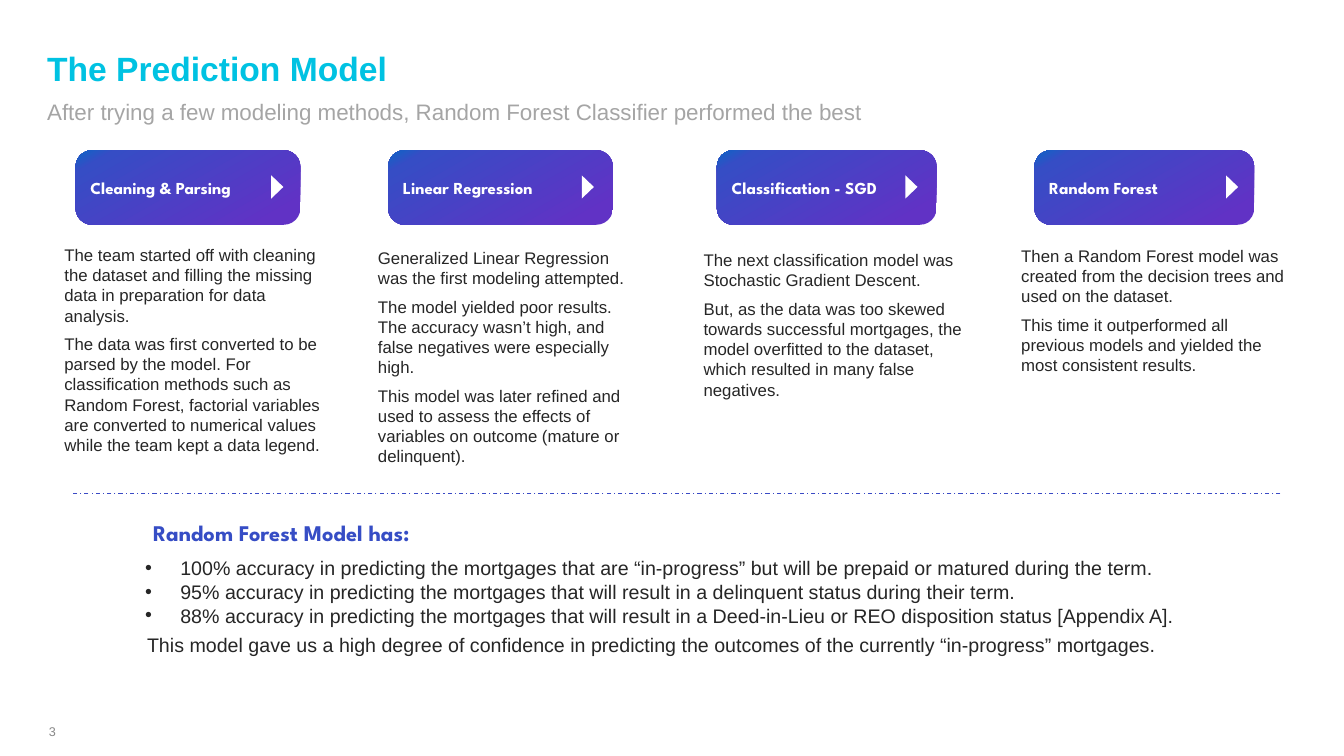
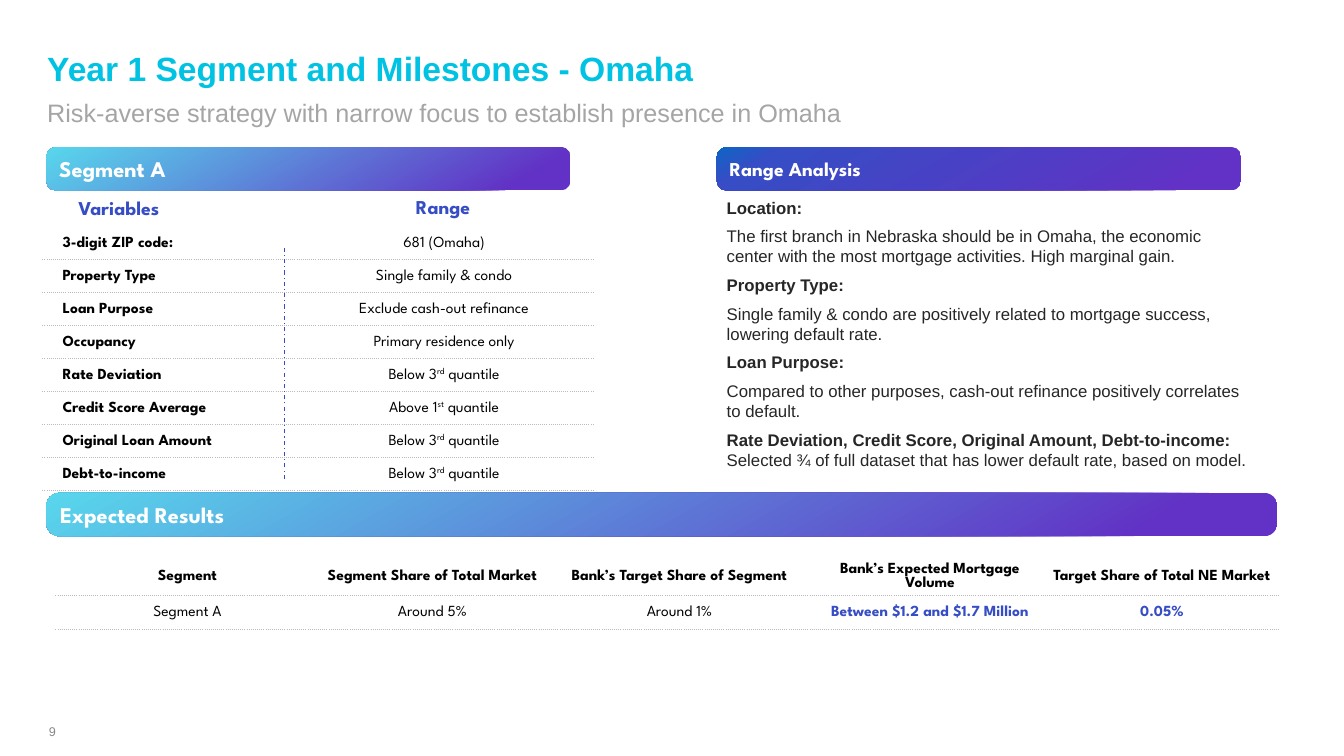
from pptx import Presentation
from pptx.dml.color import RGBColor
from pptx.enum.dml import MSO_LINE
from pptx.enum.shapes import MSO_CONNECTOR, MSO_SHAPE
from pptx.enum.text import MSO_ANCHOR as ANCHOR, PP_ALIGN as ALIGN
from pptx.oxml import parse_xml
from pptx.oxml.ns import qn
from pptx.util import Inches, Pt
from lxml.etree import SubElement

# Shared style
NS = 'xmlns:a="http://schemas.openxmlformats.org/drawingml/2006/main"'
BODY, HEAD = "Arial", "League Spartan"
CYAN, GREY, PALE, INK = "00C2E2", "A5A5A5", "888888", "262626"
BLUE, RULE, DOTS, WHITE, BLACK = "364DC5", "3A4AC5", "BCBBC1", "FFFFFF", "000000"
DEEP = [(0, "6132C5"), (11, "6132C5"), (89, BLUE), (100, "0D66C5")]
SKY = [(0, "6132C5"), (11, "6132C5"), (100, "58D7EC")]

# Slide 1 content: pill left, pill width, arrow left, text left, text top
STEPS = [
    ("Cleaning & Parsing", 0.75, 2.23, 2.69, 0.37, 2.38, [
        "The team started off with cleaning the dataset and filling the missing data in preparation for data analysis.",
        "The data was first converted to be parsed by the model. For classification methods such as Random Forest, factorial variables are converted to numerical values while the team kept a data legend."]),
    ("Linear Regression", 3.85, 2.23, 5.77, 3.48, 2.41, [
        "Generalized Linear Regression was the first modeling attempted.",
        "The model yielded poor results. The accuracy wasn’t high, and false negatives were especially high.",
        "This model was later refined and used to assess the effects of variables on outcome (mature or delinquent)."]),
    ("Classification - SGD", 7.11, 2.18, 8.98, 6.71, 2.43, [
        "The next classification model was Stochastic Gradient Descent.",
        "But, as the data was too skewed towards successful mortgages, the model overfitted to the dataset, which resulted in many false negatives."]),
    ("Random Forest", 10.26, 2.18, 12.16, 9.86, 2.39, [
        "Then a Random Forest model was created from the decision trees and used on the dataset.",
        "This time it outperformed all previous models and yielded the most consistent results."]),
]
SCORES = [
    "100% accuracy in predicting the mortgages that are “in-progress” but will be prepaid or matured during the term.",
    "95% accuracy in predicting the mortgages that will result in a delinquent status during their term.",
    "88% accuracy in predicting the mortgages that will result in a Deed-in-Lieu or REO disposition status [Appendix A].",
]
CLOSE = "This model gave us a high degree of confidence in predicting the outcomes of the currently “in-progress” mortgages."

# Slide 2 content: a ^ pair marks raised text
RANGES = [
    ("3-digit ZIP code:", "681 (Omaha)"),
    ("Property Type", "Single family & condo"),
    ("Loan Purpose", "Exclude cash-out refinance"),
    ("Occupancy", "Primary residence only"),
    ("Rate Deviation", "Below 3^rd^ quantile"),
    ("Credit Score Average", "Above 1^st^ quantile"),
    ("Original Loan Amount", "Below 3^rd^ quantile"),
    ("Debt-to-income", "Below 3^rd^ quantile"),
]
NOTES = [
    ("Location:", "The first branch in Nebraska should be in Omaha, the economic center with the most mortgage activities. High marginal gain."),
    ("Property Type:", "Single family & condo are positively related to mortgage success, lowering default rate."),
    ("Loan Purpose:", "Compared to other purposes, cash-out refinance positively correlates to default."),
]
LAST = ("Rate Deviation, Credit Score, Original Amount, Debt-to-income: ",
        "Selected ¾ of full dataset that has lower default rate, based on model.")
RESULTS = [
    ("Segment", "Segment Share of Total Market", "Bank’s Target Share of Segment",
     "Bank’s Expected Mortgage Volume", "Target Share of Total NE Market"),
    ("Segment A", "Around 5%", "Around 1%", "Between $1.2 and $1.7 Million", "0.05%"),
]


def rgb(tint):
    return RGBColor.from_string(tint)


def write(par, text, size, tint=INK, bold=False, font=BODY):
    for i, part in enumerate(text.split("^")):
        run = par.add_run()
        run.text = part
        face = run.font
        face.name, face.size, face.bold = font, Pt(size), bold
        face.color.rgb = rgb(tint)
        if i % 2:
            run._r.get_or_add_rPr().set("baseline", "30000")


def box(slide, x, y, w, h, anchor=ANCHOR.TOP):
    frame = slide.shapes.add_textbox(*map(Inches, (x, y, w, h))).text_frame
    frame.word_wrap, frame.vertical_anchor = True, anchor
    return frame


def label(slide, area, text, size, tint, bold=True, font=HEAD,
          align=ALIGN.LEFT, anchor=ANCHOR.TOP):
    par = box(slide, *area, anchor).paragraphs[0]
    par.alignment = align
    write(par, text, size, tint, bold, font)


def para(frame, before=0, after=0, left=0, hang=0, dot=False):
    first = frame.paragraphs[0]
    par = frame.add_paragraph() if first.runs else first
    par.space_before, par.space_after = Pt(before), Pt(after)
    props = par._p.get_or_add_pPr()
    props.set("marL", str(Inches(left)))
    props.set("indent", str(Inches(hang)))
    if dot:
        SubElement(props, qn("a:buFont")).set("typeface", BODY)
        SubElement(props, qn("a:buChar")).set("char", "•")
    return par


def pill(slide, area, text, size, stops, curve=0.222):
    shape = slide.shapes.add_shape(MSO_SHAPE.ROUNDED_RECTANGLE, *map(Inches, area))
    shape.adjustments[0] = curve
    shape.shadow.inherit = False
    shape.line.fill.background()
    marks = "".join(f'<a:gs pos="{at * 1000}"><a:srgbClr val="{tint}"/></a:gs>'
                    for at, tint in stops)
    shape._element.spPr.find(qn("a:prstGeom")).addnext(parse_xml(
        f'<a:gradFill {NS} rotWithShape="1"><a:gsLst>{marks}</a:gsLst>'
        '<a:lin ang="14400000" scaled="0"/></a:gradFill>'))
    frame = shape.text_frame
    frame.word_wrap, frame.vertical_anchor = True, ANCHOR.MIDDLE
    frame.margin_left = Inches(0.1)
    frame.margin_top = frame.margin_right = frame.margin_bottom = 0
    par = frame.paragraphs[0]
    par.alignment = ALIGN.LEFT
    write(par, text, size, WHITE, True, HEAD)


def arrow(slide, x, y, w=0.12, h=0.23):
    pen = slide.shapes.build_freeform(Inches(x), Inches(y))
    pen.add_line_segments([(Inches(x + w), Inches(y + h / 2)), (Inches(x), Inches(y + h))])
    shape = pen.convert_to_shape()
    shape.shadow.inherit = False
    shape.fill.solid()
    shape.fill.fore_color.rgb = rgb(WHITE)
    shape.line.fill.background()


def rule(slide, *ends):
    line = slide.shapes.add_connector(MSO_CONNECTOR.STRAIGHT, *map(Inches, ends))
    line.line.color.rgb = rgb(RULE)
    line.line.width, line.line.dash_style = Pt(0.75), MSO_LINE.DASH_DOT
    SubElement(line._element.spPr, qn("a:effectLst"))


def edge(cell, top):
    props = cell._tc.get_or_add_tcPr()
    for side, shown in (("L", False), ("R", False), ("T", top), ("B", True)):
        ink = (f'<a:solidFill><a:srgbClr val="{DOTS}"/></a:solidFill><a:prstDash val="dot"/>'
               if shown else "<a:noFill/>")
        props.append(parse_xml(f'<a:ln{side} {NS} w="9525">{ink}</a:ln{side}>'))


def grid(slide, x, y, cols, high, rows, style):
    """style(row, col) gives alignment, left inset, colour and weight."""
    table = slide.shapes.add_table(len(rows), len(cols), *map(
        Inches, (x, y, sum(cols), high * len(rows)))).table
    table.first_row = table.horz_banding = False
    for c, wide in enumerate(cols):
        table.columns[c].width = Inches(wide)
    for r, row in enumerate(rows):
        table.rows[r].height = Inches(high)
        for c, text in enumerate(row):
            cell = table.cell(r, c)
            align, left, tint, bold = style(r, c)
            edge(cell, r > 0)
            cell.fill.solid()
            cell.fill.fore_color.rgb = rgb(WHITE)
            cell.vertical_anchor = ANCHOR.MIDDLE
            cell.margin_left, cell.margin_right = Inches(left), Inches(0.01)
            cell.margin_top, cell.margin_bottom = Inches(0.01), 0
            par = cell.text_frame.paragraphs[0]
            par.alignment = align
            write(par, text, 11, tint, bold, HEAD)


def page(deck, title, sub, size, number):
    slide = deck.slides.add_slide(deck.slide_layouts[6])
    label(slide, (0.37, 0.3, 10.5, 0.62), title, 24, CYAN, font=BODY, anchor=ANCHOR.BOTTOM)
    label(slide, (0.37, 0.92, 11.37, 0.58), sub, size, GREY, False, BODY)
    label(slide, (0.26, 7.14, 0.52, 0.24), number, 9, PALE, False, BODY,
          ALIGN.CENTER, ANCHOR.MIDDLE)
    return slide


def model(deck):
    slide = page(deck, "The Prediction Model",
                 "After trying a few modeling methods, Random Forest Classifier performed the best", 16, "3")
    # Four steps
    for name, x, wide, tip, left, top, texts in STEPS:
        pill(slide, (x, 1.49, wide, 0.74), name, 12, DEEP)
        arrow(slide, tip, 1.74)
        frame = box(slide, left, top, 2.98, 2.4)
        for i, text in enumerate(texts):
            write(para(frame, 6 if i else 0, left=0.17), text, 12)
    # Outcome
    rule(slide, 12.7, 4.9, 0.7, 4.9)
    label(slide, (1.42, 5.1, 4.24, 0.37), "Random Forest Model has:", 16, BLUE)
    frame = box(slide, 1.19, 5.47, 11.1, 1.42)
    for i, text in enumerate(SCORES):
        write(para(frame, 0 if i else 4, 0, 0.5, -0.35, True), text, 14)
    write(para(frame, 4, left=0.17), CLOSE, 14)


def omaha(deck):
    slide = page(deck, "Year 1 Segment and Milestones - Omaha",
                 "Risk-averse strategy with narrow focus to establish presence in Omaha", 18, "9")
    # Segment table
    grid(slide, 0.42, 2.25, [2.51, 2.96], 0.327, RANGES,
         lambda r, c: (ALIGN.CENTER, 0, BLACK, False) if c else (ALIGN.LEFT, 0.2, BLACK, True))
    pill(slide, (0.46, 1.46, 5.2, 0.43), "Segment A", 16, SKY)
    label(slide, (0.55, 1.89, 1.26, 0.34), "Variables", 14, BLUE, align=ALIGN.CENTER)
    label(slide, (3.67, 1.88, 1.45, 0.34), "Range", 14, BLUE, align=ALIGN.CENTER)
    rule(slide, 2.82, 4.75, 2.82, 2.43)
    # Range analysis
    pill(slide, (7.11, 1.46, 5.2, 0.43), "Range Analysis", 14, DEEP)
    frame = box(slide, 7.11, 1.91, 5.4, 3.44)
    for head, text in NOTES:
        write(para(frame, 6), head, 12, bold=True)
        write(para(frame, 6), text, 12)
    par = para(frame, 6)
    write(par, LAST[0], 12, bold=True)
    par.add_line_break()
    write(par, LAST[1], 12)
    # Expected results
    pill(slide, (0.46, 4.89, 12.21, 0.43), "Expected Results", 16, SKY, 0.303)
    grid(slide, 0.55, 5.53, [2.43, 2.43, 2.67, 2.3, 2.3], 0.34, RESULTS,
         lambda r, c: (ALIGN.CENTER, 0.2 if c < 2 else 0,
                       BLUE if r and c > 2 else BLACK, r == 0 or c > 2))


def main():
    deck = Presentation()
    deck.slide_width, deck.slide_height = Inches(13.33), Inches(7.5)
    model(deck)
    omaha(deck)
    deck.save("out.pptx")


if __name__ == "__main__":
    main()
